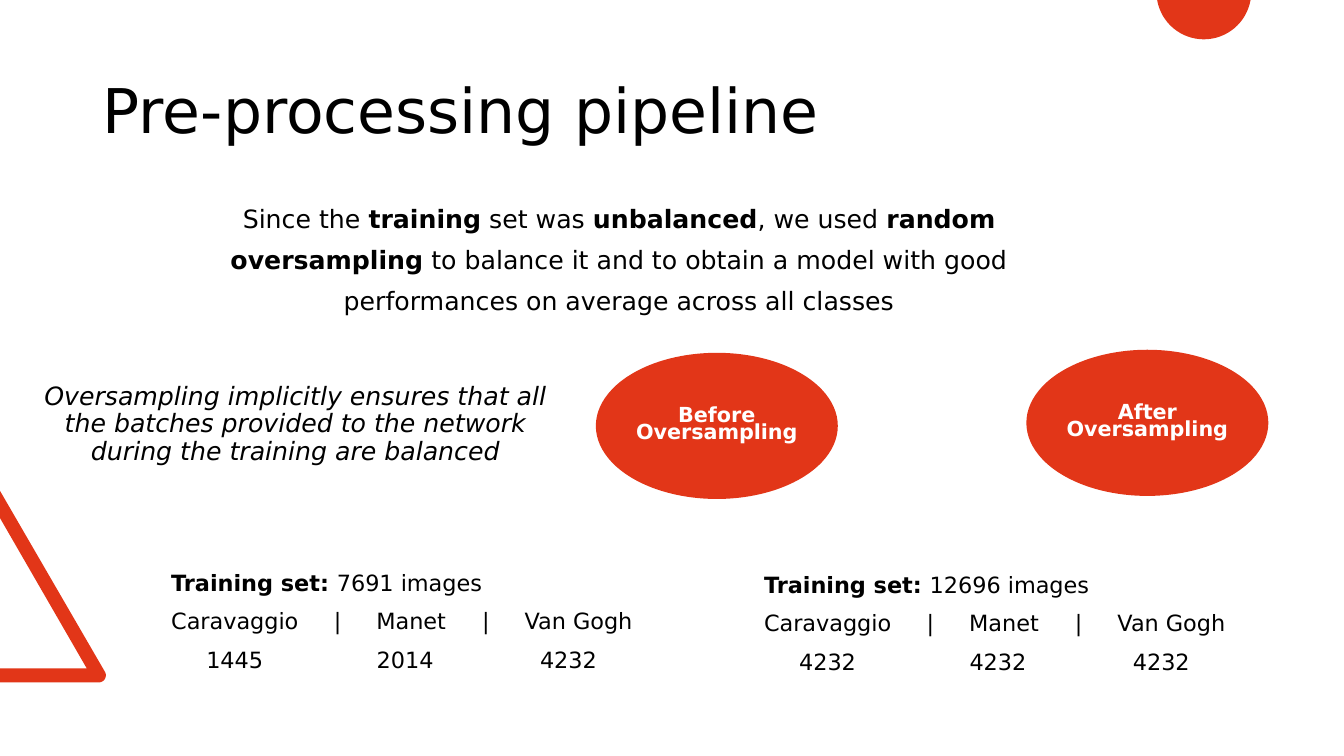
import math
from dataclasses import dataclass

import pptx
import pptx.dml.color
import pptx.enum.shapes
import pptx.enum.text
import pptx.oxml
import pptx.oxml.ns
import pptx.util
from pptx.util import Inches

ALIGN = pptx.enum.text.PP_ALIGN
ANCHOR = pptx.enum.text.MSO_ANCHOR


@dataclass(frozen=True)
class Theme:
    font: str = "DejaVu Sans"
    ink: str = "000000"
    accent: str = "E23618"
    light: str = "FFFFFF"
    title: float = 44
    body: float = 18
    counts: float = 16
    badge: float = 14.8
    spacing: float = 0.9
    gap: float = 10


THEME = Theme()


def rgb(value):
    return pptx.dml.color.RGBColor.from_string(value)


def add_run(p, text, size, color=THEME.ink, bold=False, italic=False):
    r = p.add_run()
    r.text = text
    r.font.name = THEME.font
    r.font.size = pptx.util.Pt(size)
    r.font.color.rgb = rgb(color)
    r.font.bold = bold
    r.font.italic = italic


def next_paragraph(tf, align, spacing=THEME.spacing):
    """Return the empty first paragraph, or a new one with space before."""
    p = tf.paragraphs[0]
    if p.runs:
        p = tf.add_paragraph()
        p.space_before = pptx.util.Pt(THEME.gap)
    p.alignment = align
    p.line_spacing = spacing
    return p


def add_text_box(s, box):
    tf = s.shapes.add_textbox(*map(Inches, box)).text_frame
    tf.word_wrap = True
    return tf


def paint(sp):
    sp.shadow.inherit = False
    sp.fill.solid()
    sp.fill.fore_color.rgb = rgb(THEME.accent)
    sp.line.fill.background()


def arc(cx, cy, radius, start, end, steps=32):
    """Points on a circle between two angles in degrees, clockwise on the slide."""
    angles = (math.radians(start + (end - start) * i / steps) for i in range(steps + 1))
    return [(cx + radius * math.cos(a), cy + radius * math.sin(a)) for a in angles]


def add_outline(s, points):
    corners = [(Inches(x), Inches(y)) for x, y in points]
    builder = s.shapes.build_freeform(*corners[0])
    builder.add_line_segments(corners[1:], close=True)
    paint(builder.convert_to_shape())


def add_decorations(s):
    corner = arc(0.98, 6.7, 0.07, -30, 90)
    add_outline(s, [(0, 6.77), (0, 6.63), (0.86, 6.63), (0, 5.14), (0, 4.87)] + corner)
    radius, rise = 0.47, 0.08
    edge = math.degrees(math.asin(rise / radius))
    add_outline(s, arc(11.94, -rise, radius, edge, 180 - edge))


def add_title(s, box, text):
    sp = s.shapes.title
    sp.left, sp.top, sp.width, sp.height = map(Inches, box)
    tf = sp.text_frame
    tf.auto_size = pptx.enum.text.MSO_AUTO_SIZE.NONE
    tf.vertical_anchor = ANCHOR.MIDDLE
    add_run(next_paragraph(tf, ALIGN.LEFT), text, THEME.title)


def add_intro(s, box):
    lines = [
        [("Since the ", False), ("training", True), (" set was ", False),
         ("unbalanced", True), (", we used ", False), ("random", True)],
        [("oversampling", True),
         (" to balance it and to obtain a model with good", False)],
        [("performances on average across all classes", False)],
    ]
    tf = add_text_box(s, box)
    for line in lines:
        p = next_paragraph(tf, ALIGN.CENTER)
        for text, bold in line:
            add_run(p, text, THEME.body, bold=bold)


def add_remark(s, box, text):
    p = next_paragraph(add_text_box(s, box), ALIGN.CENTER)
    add_run(p, text, THEME.body, italic=True)


def add_badge(s, box, text):
    sp = s.shapes.add_shape(pptx.enum.shapes.MSO_SHAPE.OVAL, *map(Inches, box))
    paint(sp)
    tf = sp.text_frame
    tf.word_wrap = True
    tf.margin_left = tf.margin_right = 0
    tf.vertical_anchor = ANCHOR.MIDDLE
    p = next_paragraph(tf, ALIGN.CENTER, 0.7)
    add_run(p, text, THEME.badge, THEME.light, bold=True)


def set_center_tabs(p, stops):
    tabs = pptx.oxml.parse_xml(f"<a:tabLst {pptx.oxml.ns.nsdecls('a')}/>")
    for stop in stops:
        tabs.append(pptx.oxml.parse_xml(
            f'<a:tab {pptx.oxml.ns.nsdecls("a")} pos="{Inches(stop)}" algn="ctr"/>'))
    p._p.get_or_add_pPr().append(tabs)


def add_counts(s, box, total, counts):
    tf = add_text_box(s, box)
    p = next_paragraph(tf, ALIGN.LEFT)
    add_run(p, "Training set: ", THEME.counts, bold=True)
    add_run(p, f"{total} images", THEME.counts)
    rows = [
        ("Caravaggio\t|\tManet\t|\tVan Gogh", (1.65, 2.38, 3.12, 4.04)),
        ("".join(f"\t{n}" for n in counts), (0.63, 2.32, 3.94)),
    ]
    for text, stops in rows:
        p = next_paragraph(tf, ALIGN.LEFT)
        set_center_tabs(p, stops)
        add_run(p, text, THEME.counts)


def main():
    prs = pptx.Presentation()
    prs.slide_width, prs.slide_height = Inches(13.33), Inches(7.5)
    s = prs.slides.add_slide(prs.slide_layouts.get_by_name("Title Only"))
    add_decorations(s)
    add_title(s, (0.92, 0.4, 11.5, 1.45), "Pre-processing pipeline")
    add_intro(s, (1.72, 2.0, 8.84, 1.2))
    add_remark(s, (0.19, 3.76, 5.48, 0.92),
               "Oversampling implicitly ensures that all the batches provided "
               "to the network during the training are balanced")
    add_badge(s, (5.91, 3.5, 2.4, 1.45), "Before Oversampling")
    add_badge(s, (10.18, 3.47, 2.4, 1.45), "After Oversampling")
    add_counts(s, (1.6, 5.63, 5.07, 1.24), 7691, (1445, 2014, 4232))
    add_counts(s, (7.48, 5.65, 5.07, 1.22), 12696, (4232, 4232, 4232))
    prs.save("out.pptx")


if __name__ == "__main__":
    main()
